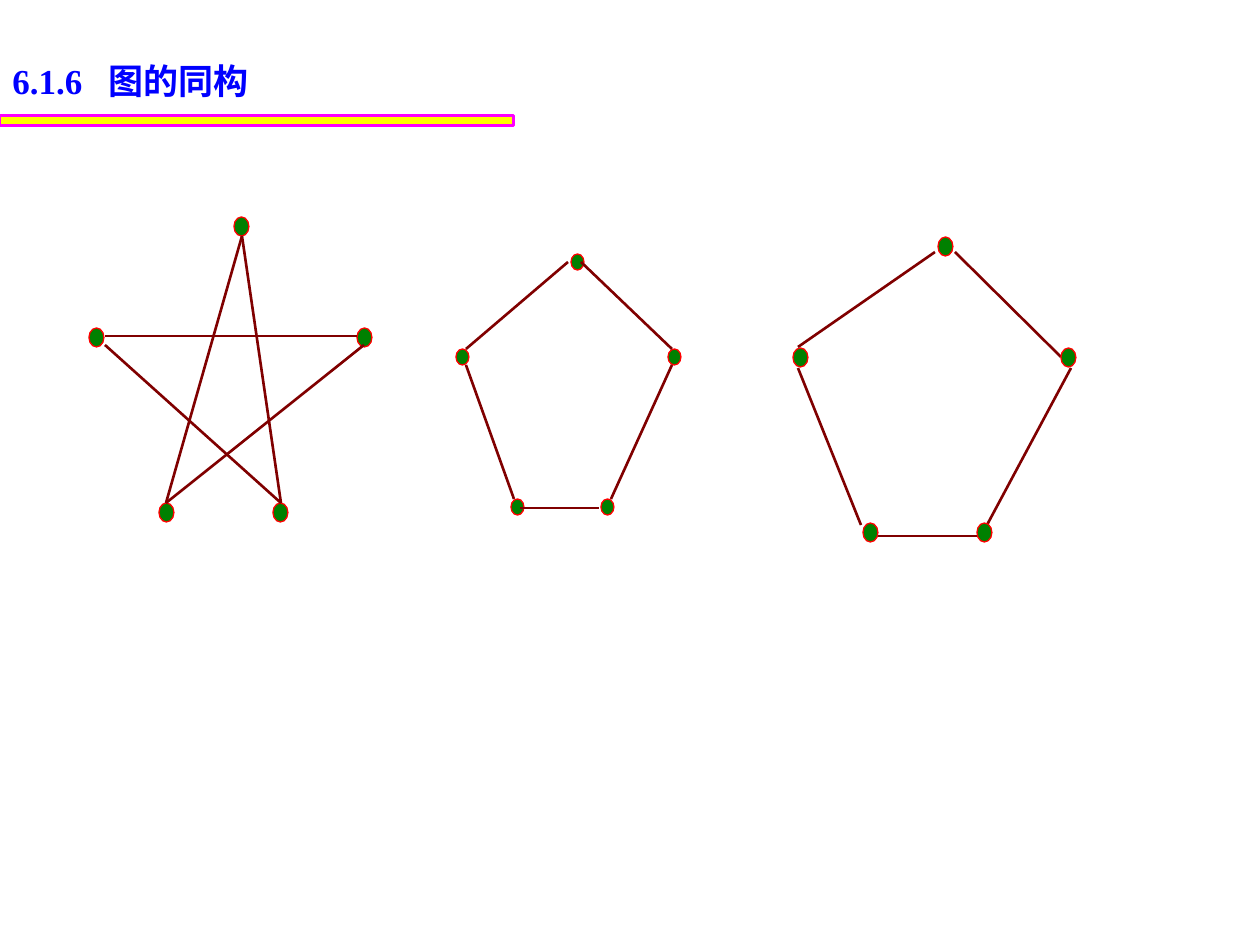
from lxml.etree import SubElement
from pptx import Presentation
from pptx.dml.color import RGBColor
from pptx.enum.shapes import MSO_CONNECTOR as LINE, MSO_SHAPE as SHAPE
from pptx.oxml.ns import qn
from pptx.util import Emu, Pt

SCALE = 914400 / 126
COLORS = {"title": "0000FF", "bar": "FFFF00", "bar_line": "FF00FF",
          "node": "008000", "node_line": "FF0000", "edge": "800000"}
NODE_OFFSETS = [(268, 0), (70, 175), (0, 0), (184, 175), (145, -111)]
STAR_EDGES = [(105, 336, 357, 336), (242, 236, 166, 503), (242, 236, 281, 503),
              (105, 345, 281, 503), (166, 503, 364, 345)]
SMALL_EDGES = [(466, 349, 568, 262), (466, 365, 514, 499), (520, 508, 599, 508),
               (611, 499, 672, 365), (581, 262, 672, 349)]
LARGE_EDGES = [(798, 347, 935, 252), (798, 368, 861, 525), (872, 536, 977, 536),
               (987, 525, 1071, 368), (955, 252, 1061, 357)]


def px(length):
    """Turn pixels into EMU."""
    return Emu(round(length * SCALE))


def color(name):
    """Look up a named colour."""
    return RGBColor.from_string(COLORS[name])


def add_filled(shapes, kind, box, role, weight):
    """Add a filled, outlined shape in the colours of its role."""
    filled = shapes.add_shape(kind, *map(px, box))
    filled.shadow.inherit = False
    filled.fill.solid()
    filled.fill.fore_color.rgb = color(role)
    filled.line.color.rgb = color(role + "_line")
    filled.line.width = Pt(weight)


def add_title(shapes, number, heading):
    """Add the section number and its heading, set apart by a tab stop."""
    title = shapes.add_textbox(*map(px, (0, 53, 546, 54)))
    title.text_frame.word_wrap = True
    paragraph = title.text_frame.paragraphs[0]
    tabs = SubElement(paragraph._p.get_or_add_pPr(), qn("a:tabLst"))
    SubElement(tabs, qn("a:tab"), pos=str(px(96)), algn="l")
    paragraph.font.size = Pt(20)
    paragraph.font.bold = True
    paragraph.font.color.rgb = color("title")
    for words, typeface in ((number + "\t", "Times New Roman"), (heading, "Arial")):
        run = paragraph.add_run()
        run.text = words
        run.font.name = typeface


def add_nodes(shapes, left, top, size, stretch=(1, 1)):
    """Add five vertices placed from the leftmost one."""
    for dx, dy in NODE_OFFSETS:
        corner = (left + round(dx * stretch[0]), top + round(dy * stretch[1]))
        add_filled(shapes, SHAPE.OVAL, corner + size, "node", 0.75)


def add_edges(shapes, edges):
    """Add the straight edges of a graph."""
    for ends in edges:
        edge = shapes.add_connector(LINE.STRAIGHT, *map(px, ends))
        edge.line.color.rgb = color("edge")
        edge.line.width = Pt(1.5)
        SubElement(edge._element.spPr, qn("a:effectLst"))


def main():
    """Build the slide on graph isomorphism."""
    deck = Presentation()
    deck.slide_width, deck.slide_height = px(1260), px(945)
    shapes = deck.slides.add_slide(deck.slide_layouts[6]).shapes
    add_filled(shapes, SHAPE.RECTANGLE, (0, 116, 514, 10), "bar", 1.75)
    add_title(shapes, "6.1.6", "图的同构")

    star = shapes.add_group_shape().shapes
    add_nodes(star, 89, 328, (15, 19))
    add_edges(star, STAR_EDGES)

    small_pentagon = shapes.add_group_shape().shapes
    add_nodes(small_pentagon, 456, 349, (13, 16), (0.79, 0.86))
    add_edges(small_pentagon, SMALL_EDGES)

    large_pentagon = shapes.add_group_shape().shapes
    add_edges(large_pentagon, LARGE_EDGES)
    add_nodes(large_pentagon, 793, 348, (15, 19))
    deck.save("out.pptx")


if __name__ == "__main__":
    main()
